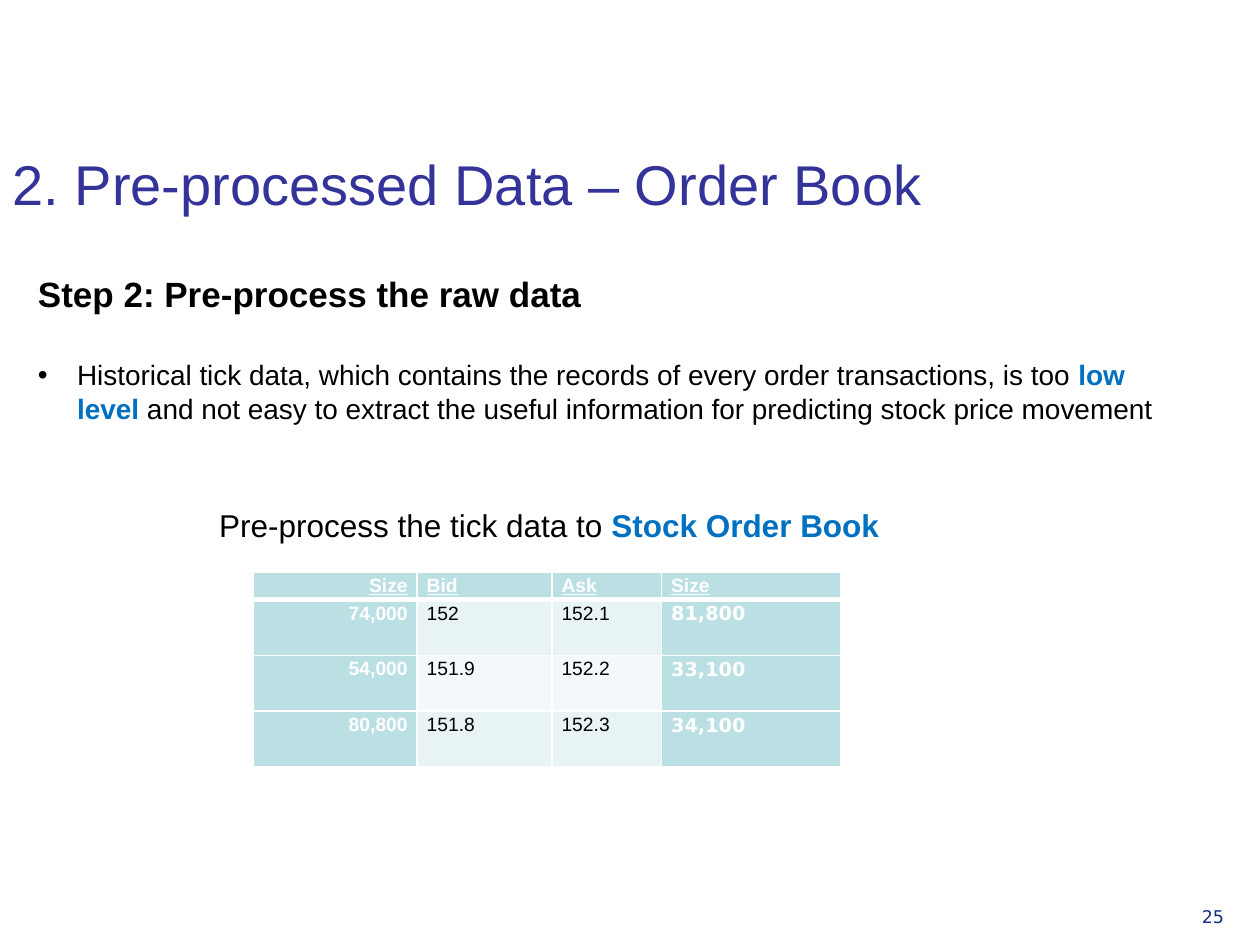
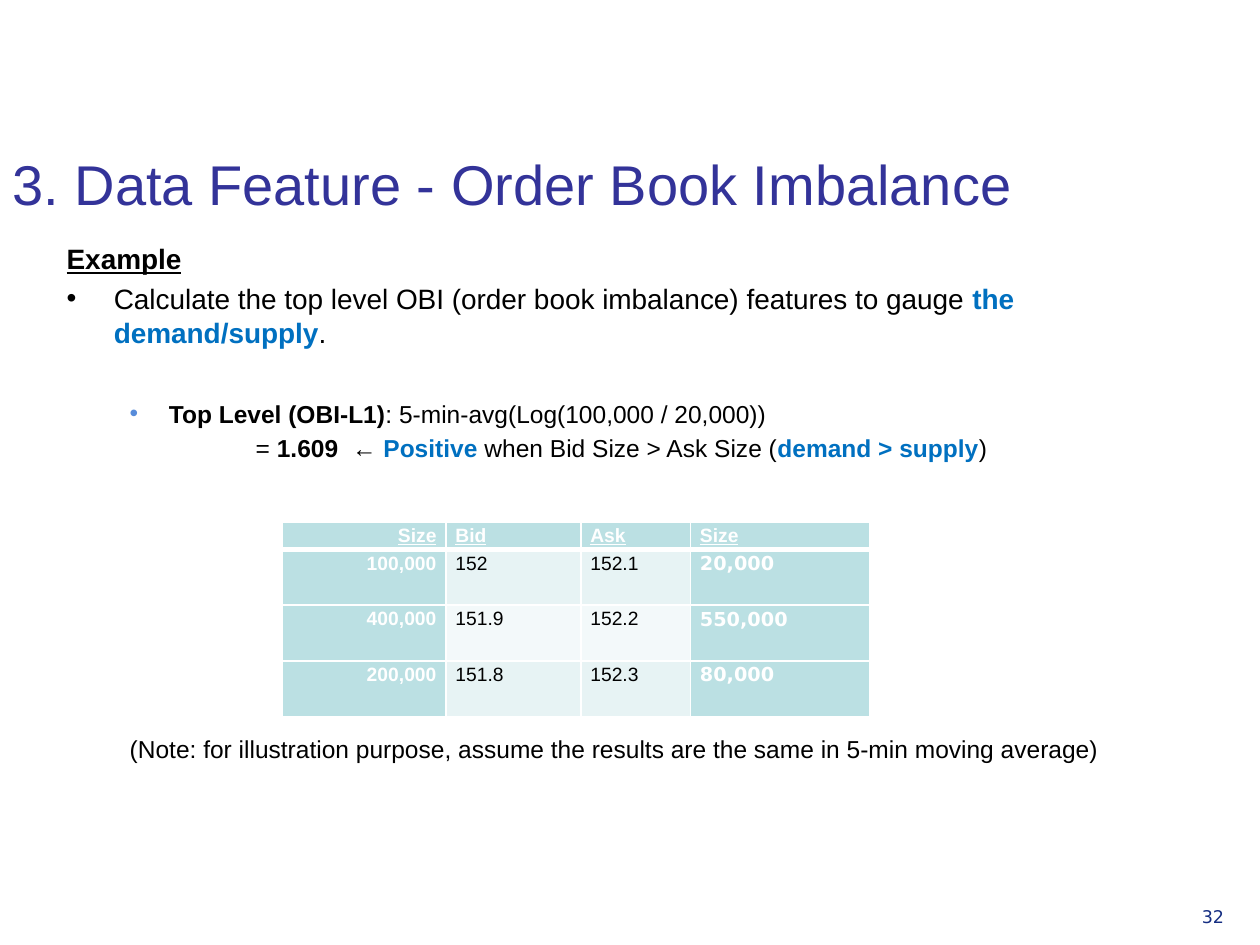
import lxml.etree
import pptx
import pptx.dml.color
import pptx.enum.text
import pptx.oxml.ns
import pptx.util

Cm = pptx.util.Cm
Pt = pptx.util.Pt
qn = pptx.oxml.ns.qn
Align = pptx.enum.text.PP_ALIGN
Anchor = pptx.enum.text.MSO_ANCHOR

COLORS = {
    "title": "333399",
    "text": "000000",
    "accent": "0070C0",
    "bullet": "578CDA",
    "page_number": "152E82",
    "white": "FFFFFF",
    "header": "BBE0E3",
    "odd_row": "E7F3F4",
    "even_row": "F3F9FA",
}
BODY_FONT = "Arial"
NUMBER_FONT = "DejaVu Sans"
ACCENT = {"color": "accent", "bold": True}
BOLD = {"bold": True}

BOOK_HEADER = ["Size", "Bid", "Ask", "Size"]
BOOK_PRICES = [("152", "152.1"), ("151.9", "152.2"), ("151.8", "152.3")]
BOOK_COLUMNS = [3.3, 2.72, 2.21, 3.61]
BOOK_ROWS = [0.56, 1.12, 1.12, 1.12]


def rgb(name):
    return pptx.dml.color.RGBColor.from_string(COLORS[name])


def add_span(para, text, size=16, font=BODY_FONT, color="text", bold=False, underline=False):
    span = para.add_run()
    span.text = text
    span.font.size = Pt(size)
    span.font.name = font
    span.font.color.rgb = rgb(color)
    span.font.bold = bold
    span.font.underline = underline


def set_bullet(para, margin, hanging, color):
    """Set the indent in cm and a round bullet, or none when color is None."""
    properties = para._p.get_or_add_pPr()
    properties.set("marL", str(Cm(margin)))
    properties.set("indent", str(-Cm(hanging)))
    if color is None:
        lxml.etree.SubElement(properties, qn("a:buNone"))
        return
    tint = lxml.etree.SubElement(properties, qn("a:buClr"))
    lxml.etree.SubElement(tint, qn("a:srgbClr"), val=COLORS[color])
    lxml.etree.SubElement(properties, qn("a:buFont"), typeface=BODY_FONT)
    lxml.etree.SubElement(properties, qn("a:buChar"), char="•")


def add_para(frame, spans, size=16, margin=0, hanging=0, bullet=None, before=0, level=0):
    """Fill the empty first paragraph or append one; spans are (text, format) pairs."""
    first = frame.paragraphs[0]
    para = frame.add_paragraph() if first.runs else first
    para.level = level
    set_bullet(para, margin, hanging, bullet)
    para.space_before = Pt(before)
    for text, style in spans:
        add_span(para, text, size=size, **style)


def place(box, left, top, width, height):
    box.left, box.top, box.width, box.height = Cm(left), Cm(top), Cm(width), Cm(height)
    frame = box.text_frame
    frame.word_wrap = True
    frame.auto_size = pptx.enum.text.MSO_AUTO_SIZE.NONE
    return frame


def add_text_box(page, spans, left, top, width, height, size):
    box = page.shapes.add_textbox(0, 0, 0, 0)
    add_para(place(box, left, top, width, height), spans, size=size)


def add_page(deck, title, number):
    page = deck.slides.add_slide(deck.slide_layouts[1])
    frame = place(page.shapes.title, 0, 1.73, 24.69, 2.77)
    frame.vertical_anchor = Anchor.BOTTOM
    add_para(frame, [(title, {"color": "title"})], size=32)
    frame.paragraphs[0].alignment = Align.LEFT
    number_style = {"font": NUMBER_FONT, "color": "page_number"}
    add_text_box(page, [(number, number_style)], 23.98, 18.14, 1.4, 0.99, size=10)
    return page


def add_borders(cell, **widths):
    properties = cell._tc.get_or_add_tcPr()
    for side in "LRTB":
        line = lxml.etree.SubElement(properties, qn(f"a:ln{side}"), w=str(Pt(widths.get(side, 1))))
        fill = lxml.etree.SubElement(line, qn("a:solidFill"))
        lxml.etree.SubElement(fill, qn("a:srgbClr"), val=COLORS["white"])


def fill_cell(cell, text, row, column):
    is_header = row == 0
    is_size = column in (0, 3)
    add_borders(cell, T=3 if row == 1 else 1, B=3 if is_header else 1)
    band = "odd_row" if row % 2 else "even_row"
    cell.fill.solid()
    cell.fill.fore_color.rgb = rgb("header" if is_header or is_size else band)
    cell.margin_left = cell.margin_right = Cm(0.19)
    cell.margin_top = cell.margin_bottom = 0
    para = cell.text_frame.paragraphs[0]
    para.alignment = Align.RIGHT if column == 0 else Align.LEFT
    para.line_spacing = 1.15
    strong = is_header or is_size
    add_span(
        para,
        text,
        size=11,
        font=NUMBER_FONT if column == 3 and not is_header else BODY_FONT,
        color="white" if strong else "text",
        bold=strong,
        underline=is_header,
    )


def add_order_book(page, left, top, bid_sizes, ask_sizes):
    rows = [BOOK_HEADER]
    for bid_size, prices, ask_size in zip(bid_sizes, BOOK_PRICES, ask_sizes):
        rows.append([bid_size, *prices, ask_size])
    table = page.shapes.add_table(
        len(rows), len(BOOK_HEADER), Cm(left), Cm(top), Cm(sum(BOOK_COLUMNS)), Cm(sum(BOOK_ROWS))
    ).table
    for column, width in zip(table.columns, BOOK_COLUMNS):
        column.width = Cm(width)
    for row, height in zip(table.rows, BOOK_ROWS):
        row.height = Cm(height)
    for i, values in enumerate(rows):
        for j, text in enumerate(values):
            fill_cell(table.cell(i, j), text, i, j)


def add_preprocessing_page(deck):
    page = add_page(deck, "2. Pre-processed Data – Order Book", "25")
    frame = place(page.placeholders[1], 0.51, 5.36, 23.7, 4.7)
    add_para(frame, [("Step 2: Pre-process the raw data", BOLD)], size=20)
    add_para(
        frame,
        [
            ("Historical tick data, which contains the records of every order transactions, is too ", {}),
            ("low level ", ACCENT),
            ("and not easy to extract the useful information for predicting stock price movement", {}),
        ],
        margin=0.79, hanging=0.79, bullet="text", before=25,
    )
    add_order_book(
        page, 5.11, 11.53, ["74,000", "54,000", "80,800"], ["81,800", "33,100", "34,100"]
    )
    caption = [("Pre-process the tick data to ", {}), ("Stock Order Book", ACCENT)]
    add_text_box(page, caption, 4.17, 10.08, 14.2, 2.06, size=18)


def add_imbalance_page(deck):
    page = add_page(deck, "3. Data Feature - Order Book Imbalance", "32")
    frame = place(page.placeholders[1], 1.09, 4.75, 23.6, 11.81)
    add_para(frame, [("Example", {"bold": True, "underline": True})])
    add_para(
        frame,
        [
            ("Calculate the top level OBI (order book imbalance) features to gauge", {}),
            (" the demand/supply", ACCENT),
            (".", {}),
        ],
        margin=0.95, hanging=0.95, bullet="text", before=3.5,
    )
    add_para(
        frame,
        [("Top Level (OBI-L1)", BOLD), (": 5-min-avg(Log(100,000 / 20,000))", {})],
        size=14, margin=2.06, hanging=0.79, bullet="bullet", before=28.5, level=1,
    )
    add_para(
        frame,
        [
            ("= ", {}),
            ("1.609  ", BOLD),
            ("← ", {}),
            ("Positive ", ACCENT),
            ("when Bid Size > Ask Size (", {}),
            ("demand > supply", ACCENT),
            (")", {}),
        ],
        size=14, margin=3.81, before=3, level=1,
    )
    note = "(Note: for illustration purpose, assume the results are the same in 5-min moving average)"
    add_para(frame, [(note, {})], size=14, margin=1.27, before=155, level=1)
    add_order_book(
        page, 5.69, 10.52, ["100,000", "400,000", "200,000"], ["20,000", "550,000", "80,000"]
    )


def main():
    deck = pptx.Presentation()
    deck.slide_width, deck.slide_height = Cm(25.4), Cm(19.05)
    add_preprocessing_page(deck)
    add_imbalance_page(deck)
    deck.save("out.pptx")


if __name__ == "__main__":
    main()
